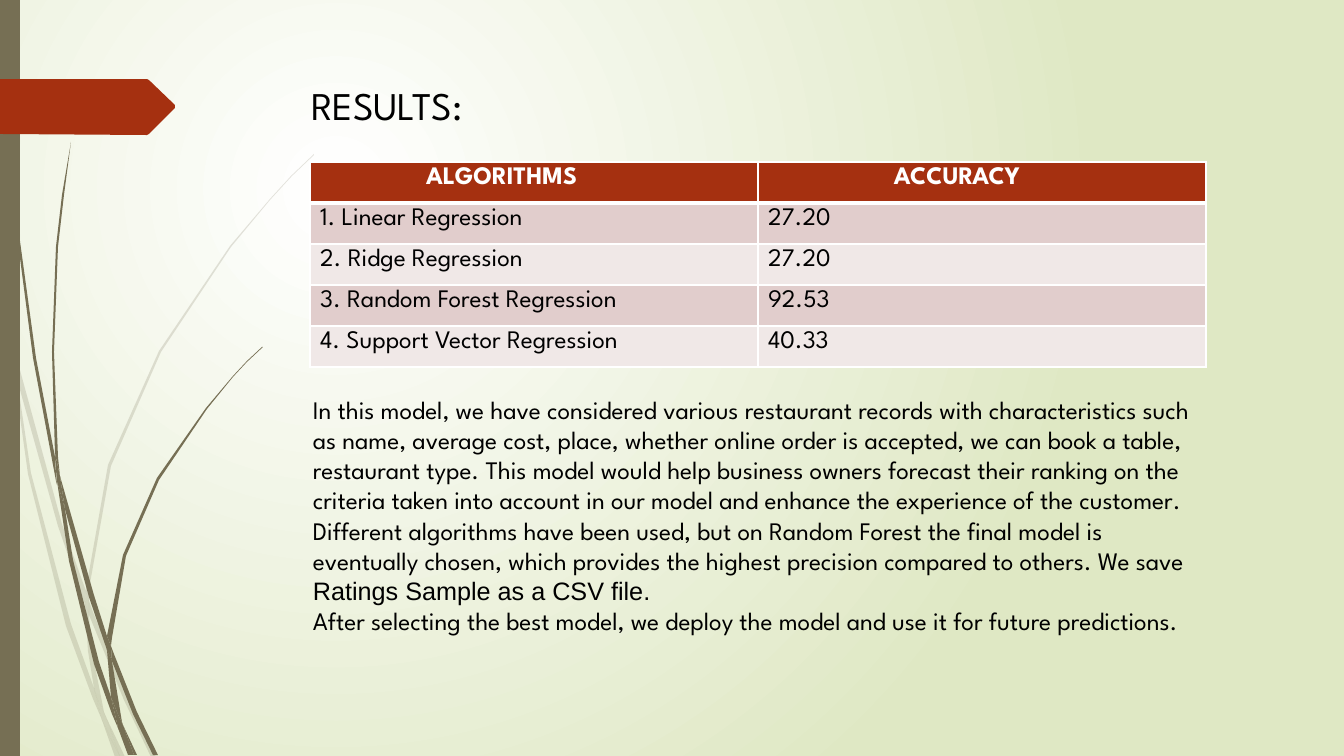
from lxml import etree
from pptx import Presentation
from pptx import util as u
from pptx.dml.color import RGBColor
from pptx.enum import shapes, text
from pptx.oxml.ns import qn

SCALE = 914400 / 100.8
FONT = "League Spartan"
BLACK, WHITE, RUST, OLIVE = "000000", "FFFFFF", "A53010", "766F54"
BANDS = ["E1CDCC", "F0E8E7"]

PALE_GRASS = [
    [(11, 353), (9, 325), (0, 284), (0, 301), (10, 347)],
    [(58, 526), (85, 604), (86, 591), (62, 524), (14, 348), (17, 379)],
    [(93, 612), (89, 601), (89, 615), (124, 700), (151, 757), (156, 757), (128, 698)],
    [(120, 757), (125, 757), (106, 717)],
    [(94, 688), (71, 624), (31, 473), (17, 379), (11, 353), (28, 474), (66, 626),
     (93, 699), (102, 720), (100, 713)],
    [(85, 604), (88, 651), (94, 688), (97, 698), (106, 717), (104, 712), (92, 651),
     (89, 615), (89, 613)],
    [(89, 589), (111, 466), (161, 352), (231, 247), (270, 200), (292, 176), (314, 155),
     (314, 154), (291, 176), (270, 199), (230, 246), (159, 351), (108, 465), (86, 589),
     (86, 591), (89, 601)],
    [(102, 720), (115, 757), (120, 757)],
    [(89, 613), (89, 615), (89, 601), (86, 591), (85, 604)],
    [(97, 698), (94, 688), (100, 713), (102, 720), (120, 757), (106, 717)],
]
DARK_GRASS = [
    [(7, 111), (17, 235), (33, 358), (56, 481), (57, 485), (55, 461), (55, 457),
     (36, 358), (19, 234), (8, 110), (5, 48), (4, 0), (3, 0), (4, 48)],
    [(89, 597), (107, 650), (107, 638), (107, 636), (94, 595), (60, 476), (65, 509)],
    [(114, 654), (111, 646), (112, 661), (133, 714), (153, 755), (158, 755), (137, 712)],
    [(111, 697), (99, 662), (73, 560), (65, 509), (57, 481), (69, 561), (94, 664),
     (112, 714), (118, 728), (117, 723)],
    [(60, 476), (58, 457), (54, 352), (58, 247), (64, 195), (71, 142), (62, 195),
     (56, 247), (52, 352), (55, 453)],
    [(134, 755), (137, 755), (123, 725)],
    [(57, 481), (65, 509), (60, 476), (55, 453), (55, 457)],
    [(112, 638), (126, 556), (159, 480), (207, 409), (233, 377), (247, 362), (263, 347),
     (262, 347), (247, 361), (233, 376), (206, 408), (157, 478), (123, 555), (107, 636),
     (111, 646)],
    [(118, 728), (128, 755), (132, 755)],
    [(107, 650), (111, 697), (117, 712), (123, 725), (122, 722), (112, 661), (110, 656)],
    [(107, 650), (110, 656), (112, 661), (111, 646), (107, 636), (107, 638)],
    [(117, 712), (111, 697), (117, 723), (118, 728), (131, 755), (134, 755), (123, 725)],
]
ARROW = [(0, 79), (147, 79), (149, 80), (175, 105), (175, 108), (149, 134), (147, 135), (0, 134)]

RESULTS = [
    ("ALGORITHMS", "ACCURACY"),
    ("1. Linear Regression", "27.20"),
    ("2. Ridge Regression", "27.20"),
    ("3. Random Forest Regression", "92.53"),
    ("4. Support Vector Regression", "40.33"),
]
HEADER_INSETS = [116, 136]
SUMMARY = [
    [("In this model, we have considered various restaurant records with characteristics "
      "such as name, average cost, place, whether online order is accepted, we can book a "
      "table, restaurant type. This model would help business owners forecast their ranking "
      "on the criteria taken into account in our model and enhance the experience of the "
      "customer. Different algorithms have been used, but on Random Forest the final model "
      "is eventually chosen, which provides the highest precision compared to others. "
      "We save ", FONT),
     ("Ratings Sample as a CSV file.", "Arial")],
    [("After selecting the best model, we deploy the model and use it for future "
      "predictions.", FONT)],
]


def px(*pixels):
    """Turn pixels into a list of EMU lengths."""
    return [u.Emu(round(n * SCALE)) for n in pixels]


def colour(value):
    """Turn a hex string into a colour."""
    return RGBColor.from_string(value)


def style(font, size, value, bold=False, name=FONT):
    """Set the look of a font."""
    font.name, font.size, font.bold = name, u.Pt(size), bold
    font.color.rgb = colour(value)


def paint(shape, value, alpha=None):
    """Give a shape a plain fill without outline or shadow."""
    shape.shadow.inherit = False
    shape.fill.solid()
    shape.fill.fore_color.rgb = colour(value)
    shape.line.fill.background()
    if alpha:
        tint = shape.element.spPr.find(".//" + qn("a:srgbClr"))
        etree.SubElement(tint, qn("a:alpha"), val=str(alpha * 1000))


def add_outline(parent, points, value, alpha=None):
    """Draw a closed outline through the points."""
    builder = parent.build_freeform(*points[0], scale=SCALE)
    builder.add_line_segments(points[1:], close=True)
    paint(builder.convert_to_shape(), value, alpha)


def add_grass(page, blades, alpha=None):
    """Draw a group of grass blades."""
    group = page.shapes.add_group_shape()
    for blade in blades:
        add_outline(group.shapes, blade, OLIVE, alpha)


def set_background(page):
    """Fill the page with a round gradient."""
    fill = page.background.fill
    fill.gradient()
    for stop, value in zip(fill.gradient_stops, [WHITE, "DFE8C4"]):
        stop.color.rgb = colour(value)
    gradient = page.element.find(".//" + qn("a:gradFill"))
    gradient.remove(gradient.find(qn("a:lin")))
    course = etree.SubElement(gradient, qn("a:path"), path="circle")
    etree.SubElement(course, qn("a:fillToRect"), l="50000", t="50000", r="100000", b="100000")


def set_title(page, words):
    """Place and format the title."""
    title = page.shapes.title
    title.left, title.top, title.width, title.height = px(301, 76, 998, 152)
    title.text_frame.text = words
    title.text_frame.vertical_anchor = text.MSO_ANCHOR.TOP
    para = title.text_frame.paragraphs[0]
    para.alignment = text.PP_ALIGN.LEFT
    style(para.font, 28, BLACK)


def set_borders(cell, top, bottom):
    """Draw white borders round a cell, with widths in points."""
    properties = cell._tc.get_or_add_tcPr()
    for side, width in zip("LRTB", [1, 1, top, bottom]):
        line = etree.SubElement(properties, qn("a:ln" + side), w=str(u.Pt(width)))
        solid = etree.SubElement(line, qn("a:solidFill"))
        etree.SubElement(solid, qn("a:srgbClr"), val=WHITE)


def add_results(page):
    """Add the table of algorithms and their accuracy."""
    table = page.shapes.add_table(len(RESULTS), 2, *px(310, 162, 896, 205)).table
    for r, row in enumerate(RESULTS):
        table.rows[r].height = px(41)[0]
        header = r == 0
        for c, words in enumerate(row):
            cell = table.cell(r, c)
            cell.text = words
            style(cell.text_frame.paragraphs[0].font, 18, WHITE if header else BLACK, header)
            set_borders(cell, 3 if r == 1 else 1, 3 if header else 1)
            cell.fill.solid()
            cell.fill.fore_color.rgb = colour(RUST if header else BANDS[(r - 1) % 2])
            if header:
                cell.margin_left = px(HEADER_INSETS[c])[0]


def add_summary(page):
    """Add the text below the table."""
    frame = page.shapes.add_textbox(*px(303, 389, 910, 316)).text_frame
    frame.word_wrap = True
    for i, spans in enumerate(SUMMARY):
        para = frame.add_paragraph() if i else frame.paragraphs[0]
        for words, name in spans:
            span = para.add_run()
            span.text = words
            style(span.font, 18, BLACK, name=name)


def main():
    """Build and save the deck."""
    deck = Presentation()
    deck.slide_width, deck.slide_height = px(1344, 756)
    page = deck.slides.add_slide(deck.slide_layouts[5])
    set_background(page)
    add_grass(page, PALE_GRASS, alpha=20)
    add_grass(page, DARK_GRASS)
    strip = page.shapes.add_shape(shapes.MSO_SHAPE.RECTANGLE, *px(0, 0, 20, 756))
    paint(strip, OLIVE)
    add_outline(page.shapes, ARROW, RUST)
    set_title(page, "RESULTS:")
    add_results(page)
    add_summary(page)
    deck.save("out.pptx")


main()
